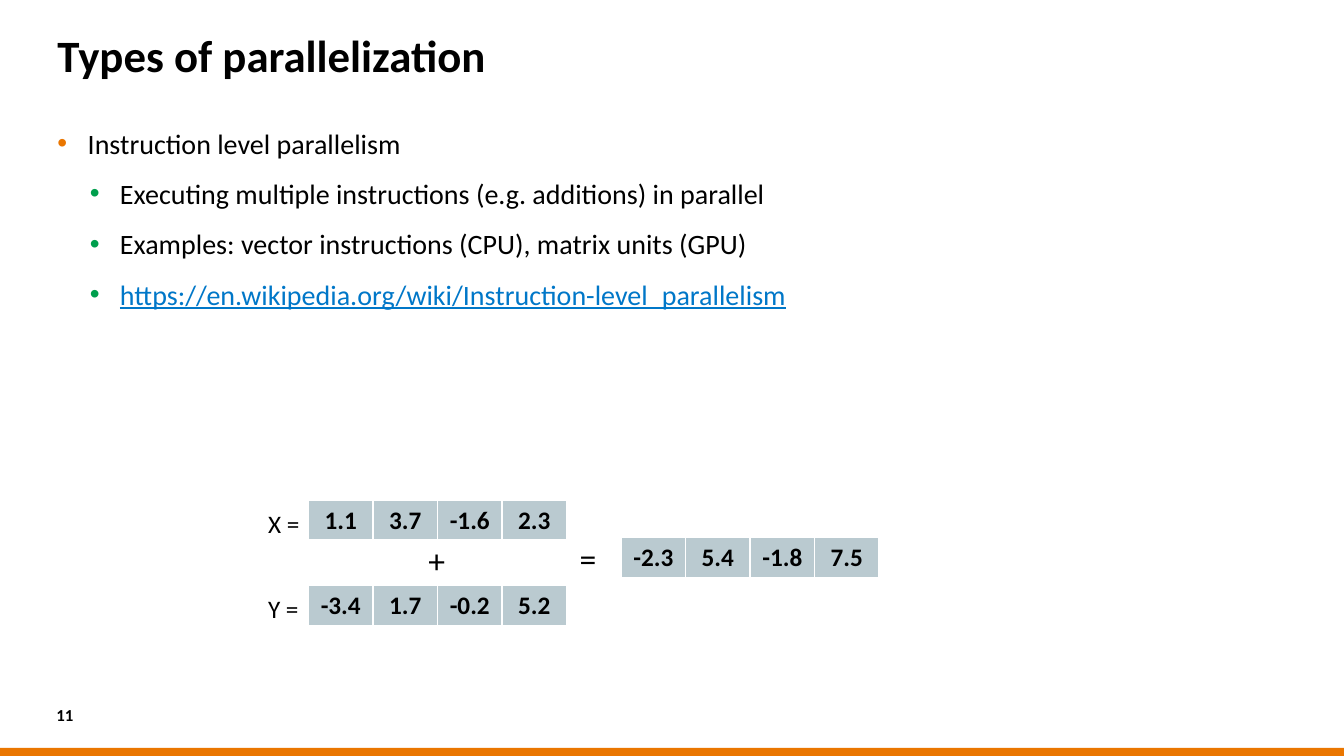
import pptx
import pptx.util
import pptx.dml.color
import pptx.enum.shapes
import pptx.enum.text
import pptx.oxml
from pptx.util import Inches

BLACK = pptx.dml.color.RGBColor(0x00, 0x00, 0x00)
ORANGE = pptx.dml.color.RGBColor(0xEA, 0x76, 0x00)
GREEN = pptx.dml.color.RGBColor(0x00, 0x9F, 0x4D)
BLUE = pptx.dml.color.RGBColor(0x00, 0x77, 0xC8)
GREY = pptx.dml.color.RGBColor(0xBA, 0xCA, 0xD0)
WHITE = pptx.dml.color.RGBColor(0xFF, 0xFF, 0xFF)
NS = 'xmlns:a="http://schemas.openxmlformats.org/drawingml/2006/main"'

deck = pptx.Presentation()
deck.slide_width = Inches(13.33)
deck.slide_height = Inches(7.5)
slide = deck.slides.add_slide(deck.slide_layouts[6])


def style(para, size, bold=False, color=BLACK):
    for run in para.runs:
        run.font.name = "Calibri"
        run.font.size = pptx.util.Pt(size)
        run.font.bold = bold
        run.font.color.rgb = color


def add_text(text, left, top, width, height, size, bold=False, inset=0):
    box = slide.shapes.add_textbox(Inches(left), Inches(top), Inches(width), Inches(height))
    frame = box.text_frame
    frame.word_wrap = True
    frame.margin_left = frame.margin_right = Inches(inset)
    frame.margin_top = frame.margin_bottom = Inches(inset / 2)
    frame.text = text
    for para in frame.paragraphs:
        style(para, size, bold)
    return frame


bar = slide.shapes.add_shape(pptx.enum.shapes.MSO_SHAPE.RECTANGLE,
                             0, Inches(7.42), deck.slide_width, Inches(0.08))
bar.shadow.inherit = False
bar.fill.solid()
bar.fill.fore_color.rgb = ORANGE
bar.line.fill.background()

title = add_text("Types of parallelization", 0.57, 0.3, 12.19, 0.66, 32, True)
title.margin_top = Inches(0.08)
title.paragraphs[0].line_spacing = 0.8

points = [
    "Instruction level parallelism",
    "Executing multiple instructions (e.g. additions) in parallel",
    "Examples: vector instructions (CPU), matrix units (GPU)",
    "https://en.wikipedia.org/wiki/Instruction-level_parallelism",
]
body = add_text("\n".join(points), 0.57, 1.25, 9.81, 5.15, 20)
for i, para in enumerate(body.paragraphs):
    level, indent, color = (1, 0.62, GREEN) if i else (0, 0.3, ORANGE)
    para.level = level
    para.space_before = pptx.util.Pt(6 if i else 0)
    para.space_after = pptx.util.Pt(6)
    props = para._p.get_or_add_pPr()
    props.set("marL", str(Inches(indent)))
    props.set("indent", str(Inches(-0.3)))
    for xml in (f'<a:buClr {NS}><a:srgbClr val="{color}"/></a:buClr>',
                f'<a:buFont {NS} typeface="Arial"/>',
                f'<a:buChar {NS} char="•"/>'):
        props.append(pptx.oxml.parse_xml(xml))
link = body.paragraphs[-1].runs[0]
link.font.color.rgb = BLUE
link.font.underline = True

page = add_text("11", 0.56, 6.97, 0.43, 0.24, 12, True)
page.vertical_anchor = pptx.enum.text.MSO_ANCHOR.MIDDLE

vectors = [
    (3.06, 4.96, ["1.1", "3.7", "-1.6", "2.3"]),
    (3.06, 5.81, ["-3.4", "1.7", "-0.2", "5.2"]),
    (6.16, 5.33, ["-2.3", "5.4", "-1.8", "7.5"]),
]
for left, top, values in vectors:
    table = slide.shapes.add_table(1, len(values), Inches(left), Inches(top),
                                   Inches(2.56), Inches(0.41)).table
    for i, value in enumerate(values):
        table.columns[i].width = Inches(0.64)
        cell = table.cell(0, i)
        cell.text = value
        cell.vertical_anchor = pptx.enum.text.MSO_ANCHOR.MIDDLE
        para = cell.text_frame.paragraphs[0]
        para.alignment = pptx.enum.text.PP_ALIGN.CENTER
        style(para, 18, True)
        props = cell._tc.get_or_add_tcPr()
        for side, width in (("L", 1), ("R", 1), ("T", 1), ("B", 3)):
            props.append(pptx.oxml.parse_xml(
                f'<a:ln{side} {NS} w="{pptx.util.Pt(width)}"><a:solidFill>'
                f'<a:srgbClr val="{WHITE}"/></a:solidFill></a:ln{side}>'))
        cell.fill.solid()
        cell.fill.fore_color.rgb = GREY

labels = [
    ("X =", 2.56, 4.99, 0.65, 0.4, 18),
    ("Y =", 2.56, 5.84, 0.65, 0.4, 18),
    ("=", 5.65, 5.29, 0.46, 0.5, 24),
    ("+", 4.15, 5.31, 0.46, 0.5, 24),
]
for text, left, top, width, height, size in labels:
    label = add_text(text, left, top, width, height, size, inset=0.1)
    label.word_wrap = False

deck.save("out.pptx")
